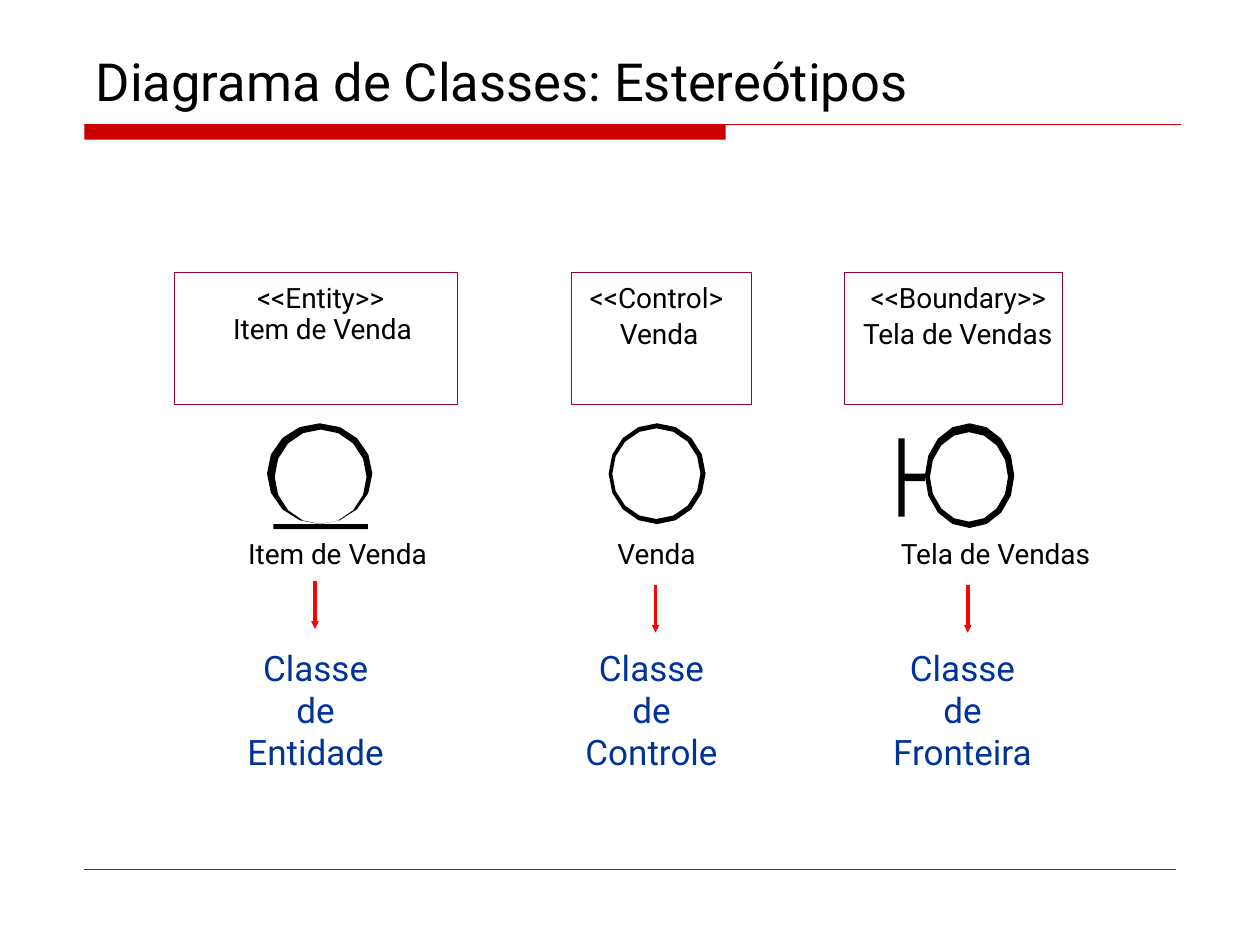
from math import cos, pi, sin

from lxml.etree import SubElement
from pptx import Presentation
from pptx.dml.color import RGBColor
from pptx.enum.shapes import MSO_CONNECTOR, MSO_SHAPE
from pptx.enum.text import MSO_ANCHOR, PP_ALIGN
from pptx.oxml.ns import qn
from pptx.util import Pt

BLACK, RED, WINE, BLUE, ARROW_RED = "000000", "CC0000", "990033", "003399", "FF0000"


def color(value):
    return RGBColor.from_string(value)


def set_values(target, values):
    for name, value in values.items():
        setattr(target, name, value)


def rectangle_points(left, top, width, height):
    right, bottom = left + width, top + height
    return [(left, top), (right, top), (right, bottom), (left, bottom)]


def round_points(left, top, width, height, sides=16):
    angles = [2 * pi * step / sides for step in range(sides)]
    return [(left + width / 2 * (1 + cos(angle)), top + height / 2 * (1 + sin(angle)))
            for angle in angles]


class SlideBuilder:
    font_name = "Roboto"

    def __init__(self, page):
        self.page = page

    def fill_frame(self, frame, lines, size, ink=BLACK, top_inset=0.7, indent=None, **paragraph):
        set_values(frame, {
            "margin_left": 0, "margin_right": 0, "margin_bottom": 0,
            "margin_top": Pt(top_inset), "word_wrap": True,
            "vertical_anchor": MSO_ANCHOR.TOP,
        })
        para = frame.paragraphs[0]
        set_values(para, {"alignment": PP_ALIGN.LEFT, "space_before": Pt(1), **paragraph})
        if indent:
            margin, first_line = indent
            properties = para._p.get_or_add_pPr()
            properties.set("marL", str(Pt(margin)))
            properties.set("indent", str(Pt(first_line)))
        for number, line in enumerate(lines):
            if number:
                para.add_line_break()
            span = para.add_run()
            span.text = line
            set_values(span.font, {"name": self.font_name, "size": Pt(size)})
            span.font.color.rgb = color(ink)

    def title(self, text, place):
        box = self.page.shapes.title
        set_values(box, dict(zip(("left", "top", "width", "height"), map(Pt, place))))
        self.fill_frame(box.text_frame, [text], 30)

    def text(self, lines, place, size, **style):
        box = self.page.shapes.add_textbox(*map(Pt, place))
        self.fill_frame(box.text_frame, lines, size, **style)

    def bar(self, place, fill):
        shape = self.page.shapes.add_shape(MSO_SHAPE.RECTANGLE, *map(Pt, place))
        shape.shadow.inherit = False
        shape.fill.solid()
        shape.fill.fore_color.rgb = color(fill)
        shape.line.fill.background()

    def class_box(self, lines, place, **style):
        shape = self.page.shapes.add_shape(MSO_SHAPE.RECTANGLE, *map(Pt, place))
        shape.shadow.inherit = False
        shape.fill.background()
        shape.line.color.rgb = color(WINE)
        shape.line.width = Pt(0.25)
        self.fill_frame(shape.text_frame, lines, 16, **style)

    def line(self, start, end, ink, width, arrow=False):
        connector = self.page.shapes.add_connector(
            MSO_CONNECTOR.STRAIGHT, *map(Pt, (*start, *end)))
        connector.line.color.rgb = color(ink)
        connector.line.width = Pt(width)
        properties = connector._element.spPr
        if arrow:
            SubElement(properties.find(qn("a:ln")), qn("a:tailEnd"),
                       type="triangle", w="sm", len="sm")
        SubElement(properties, qn("a:effectLst"))

    def icon(self, outer, inner, strokes=()):
        contours = [round_points(*outer), round_points(*inner)]
        contours += [rectangle_points(*stroke) for stroke in strokes]
        contours = [[(Pt(x), Pt(y)) for x, y in contour] for contour in contours]
        builder = self.page.shapes.build_freeform(*contours[0][0])
        for number, contour in enumerate(contours):
            if number:
                builder.move_to(*contour[0])
            builder.add_line_segments(contour[1:], close=True)
        shape = builder.convert_to_shape()
        shape.shadow.inherit = False
        shape.fill.solid()
        shape.fill.fore_color.rgb = color(BLACK)
        shape.line.fill.background()


STEREOTYPES = [
    {
        "box": (["<<Entity>>", "Item de Venda"], 99.4, 162),
        "box_style": {"indent": (33.8, 13.7), "top_inset": 6.5,
                      "space_before": Pt(6.2), "line_spacing": Pt(17.7)},
        "icon": ((152.6, 241.9, 60.2, 57.6), (157, 245.5, 52.5, 54),
                 [(156.2, 299.5, 54, 2.9)]),
        "caption": ("Item de Venda", 141.1, 105.1),
        "arrow": (180, 331.9),
        "role": ("Entidade", 139.7, 81.4),
    },
    {
        "box": (["<<Control>", "Venda"], 326.2, 103),
        "box_style": {"indent": (28.1, -17.3)},
        "icon": ((347.8, 241.9, 55.4, 57.6), (349.9, 244.8, 50.4, 51.8)),
        "caption": ("Venda", 352.1, 47.5),
        "arrow": (374.6, 334.1),
        "role": ("Controle", 333.4, 77.8),
    },
    {
        "box": (["<<Boundary>>", "Tela de Vendas"], 482.4, 124.6),
        "box_style": {"indent": (10.8, 4.3)},
        "icon": ((528.5, 241.9, 51.1, 59.8), (531.4, 247, 44.6, 51.1),
                 [(513.4, 250.6, 3.6, 44.6), (517, 270.7, 11.5, 4.3)]),
        "caption": ("Tela de Vendas", 514.1, 111.6),
        "arrow": (553, 334.1),
        "role": ("Fronteira", 509, 82.1),
    },
]


def main():
    deck = Presentation()
    deck.slide_width, deck.slide_height = Pt(720), Pt(540)
    builder = SlideBuilder(deck.slides.add_slide(deck.slide_layouts[5]))
    builder.bar((48.2, 71.3, 366.5, 8.6), RED)
    builder.line((48.2, 71.3), (674.6, 71.3), RED, 0.72)
    builder.line((48.2, 496.8), (672, 496.8), RED, 0.25)
    builder.title("Diagrama de Classes: Estereótipos", (54.7, 27.4, 471.6, 38.2))
    box_defaults = {"top_inset": 2.9, "space_before": Pt(2.6), "line_spacing": 1.09}
    for item in STEREOTYPES:
        lines, left, width = item["box"]
        builder.class_box(lines, (left, 155.5, width, 75.6),
                          **{**box_defaults, **item["box_style"]})
        builder.icon(*item["icon"])
        caption, left, width = item["caption"]
        builder.text([caption], (left, 306, width, 20.9), 16, indent=(0.7, 0))
        x, y = item["arrow"]
        builder.line((x, y), (x, y + 27.4), ARROW_RED, 2.16, arrow=True)
        role, left, width = item["role"]
        builder.text(["Classe", "de", role], (left, 368.6, width, 74.2), 20,
                     ink=BLUE, alignment=PP_ALIGN.CENTER)
    deck.save("out.pptx")


if __name__ == "__main__":
    main()
